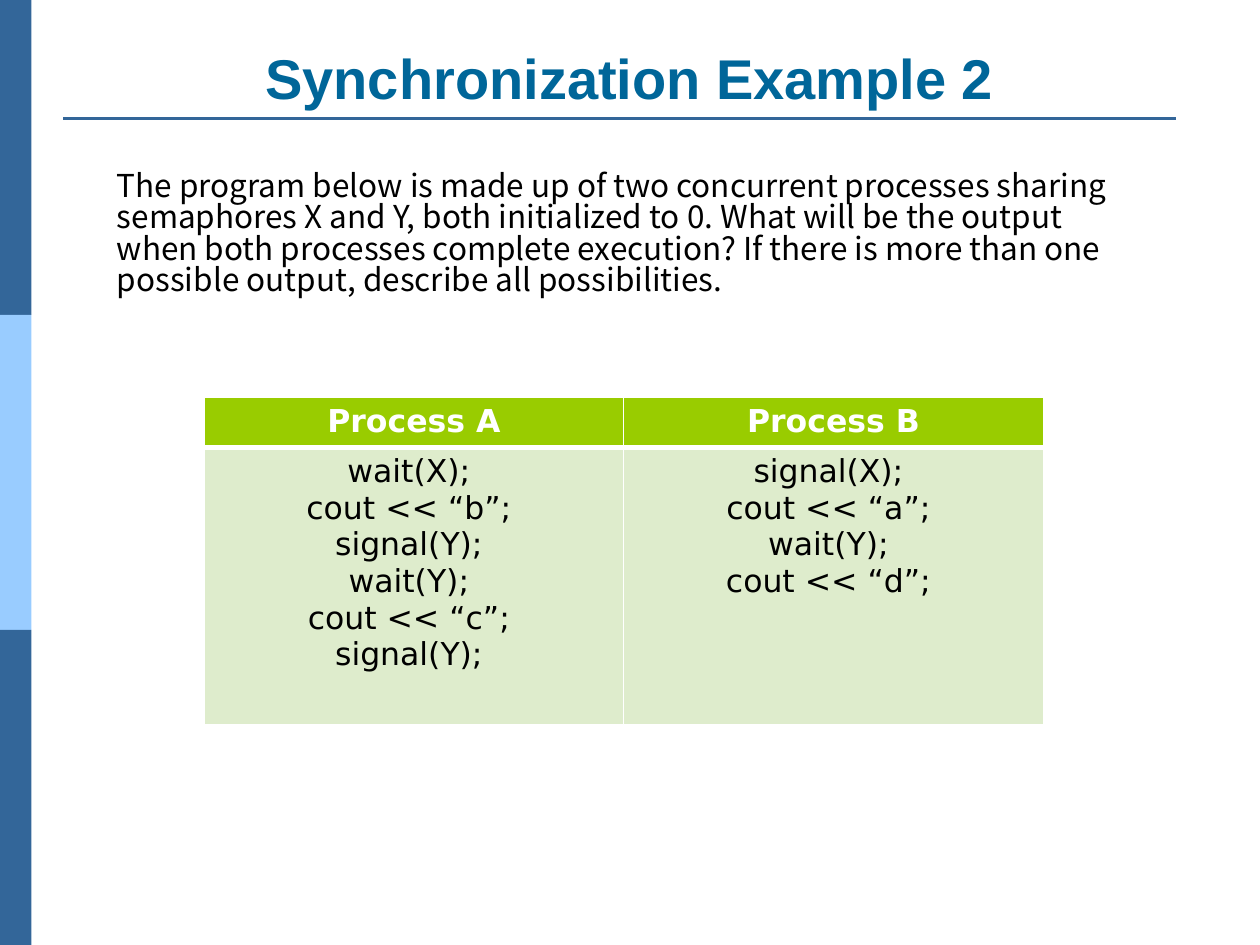
from lxml import etree
from pptx import Presentation
from pptx import util as u
from pptx.dml.color import RGBColor
from pptx.enum import shapes, text
from pptx.oxml import ns

COLORS = {
    "bar": "336699", "bar_light": "99CCFF", "title": "006699",
    "black": "000000", "white": "FFFFFF",
    "header": "99CC00", "cell": "DEECCC",
}
TITLE = {"name": "Arial", "size": u.Pt(32), "bold": True}
BODY = {"name": "Noto Sans CJK JP", "size": u.Pt(18)}
HEADER = {"name": "DejaVu Sans", "size": u.Pt(18), "bold": True}
CODE = {**HEADER, "bold": False}
CENTER = {"alignment": text.PP_ALIGN.CENTER}

QUESTION = (
    "The program below is made up of two concurrent processes sharing "
    "semaphores X and Y, both initialized to 0. What will be the output "
    "when both processes complete execution? If there is more than one "
    "possible output, describe all possibilities."
)
PROCESSES = {
    "Process A": ["wait(X); ", "cout << “b”; ", "signal(Y); ",
                  "wait(Y); ", "cout << “c”; ", "signal(Y); "],
    "Process B": ["signal(X); ", "cout << “a”; ", "wait(Y); ",
                  "cout << “d”; "],
}


def set_all(target, values):
    for name, value in values.items():
        setattr(target, name, value)


class SlideBuilder:
    def __init__(self, page, colors):
        self.page = page
        self.colors = colors

    def color(self, name):
        return RGBColor.from_string(self.colors[name])

    def bar(self, left, top, width, height, color):
        box = self.page.shapes.add_shape(
            shapes.MSO_SHAPE.RECTANGLE, *map(u.Inches, (left, top, width, height)))
        box.shadow.inherit = False
        box.fill.solid()
        box.fill.fore_color.rgb = self.color(color)
        box.line.fill.background()

    def rule(self, left, right, top, color, weight):
        line = self.page.shapes.add_connector(
            shapes.MSO_CONNECTOR.STRAIGHT, *map(u.Inches, (left, top, right, top)))
        line.line.color.rgb = self.color(color)
        line.line.width = u.Pt(weight)
        etree.SubElement(line._element.spPr, ns.qn("a:effectLst"))

    def fill_text(self, frame, lines, font, color, layout):
        for index, line in enumerate(lines):
            para = frame.add_paragraph() if index else frame.paragraphs[0]
            set_all(para, layout)
            span = para.add_run()
            span.text = line
            set_all(span.font, font)
            span.font.color.rgb = self.color(color)

    def text_box(self, left, top, width, height, line, font, color, layout, anchor):
        box = self.page.shapes.add_textbox(
            *map(u.Inches, (left, top, width, height)))
        set_all(box.text_frame, {"word_wrap": True, "vertical_anchor": anchor})
        self.fill_text(box.text_frame, [line], font, color, layout)

    def borders(self, cell, color, weights):
        properties = cell._tc.get_or_add_tcPr()
        for side, weight in weights.items():
            edge = etree.SubElement(
                properties, ns.qn("a:ln" + side), w=str(u.Pt(weight)))
            fill = etree.SubElement(edge, ns.qn("a:solidFill"))
            etree.SubElement(fill, ns.qn("a:srgbClr"), val=self.colors[color])

    def table(self, left, top, width, row_heights, columns):
        frame = self.page.shapes.add_table(
            len(row_heights), len(columns),
            *map(u.Inches, (left, top, width, sum(row_heights))))
        table = frame.table
        for row, height in zip(table.rows, row_heights):
            row.height = u.Inches(height)
        for index, (heading, code) in enumerate(columns.items()):
            table.columns[index].width = u.Inches(width / len(columns))
            rows = (([heading], HEADER, "white", "header", 1, 3),
                    (code, CODE, "black", "cell", 3, 1))
            for row, (lines, font, ink, fill, above, below) in enumerate(rows):
                cell = table.cell(row, index)
                self.borders(cell, "white",
                             {"L": 1, "R": 1, "T": above, "B": below})
                cell.fill.solid()
                cell.fill.fore_color.rgb = self.color(fill)
                self.fill_text(cell.text_frame, lines, font, ink, CENTER)


def main():
    deck = Presentation()
    set_all(deck, {"slide_width": u.Inches(10), "slide_height": u.Inches(7.5)})
    builder = SlideBuilder(deck.slides.add_slide(deck.slide_layouts[6]), COLORS)

    # Side bars and title rule
    for index, color in enumerate(("bar", "bar_light", "bar")):
        builder.bar(0, index * 2.5, 0.25, 2.5, color)
    builder.rule(0.5, 9.33, 0.94, "bar", 1.5)

    # Title and question
    builder.text_box(0.5, 0.3, 9, 0.63, "Synchronization Example 2",
                     TITLE, "title", CENTER, text.MSO_ANCHOR.BOTTOM)
    builder.text_box(0.83, 1.32, 8.24, 1.31, QUESTION,
                     BODY, "black", {"line_spacing": 0.83}, text.MSO_ANCHOR.TOP)

    # Process table
    builder.table(1.62, 3.15, 6.66, (0.4, 2.2), PROCESSES)

    deck.save("out.pptx")


if __name__ == "__main__":
    main()
